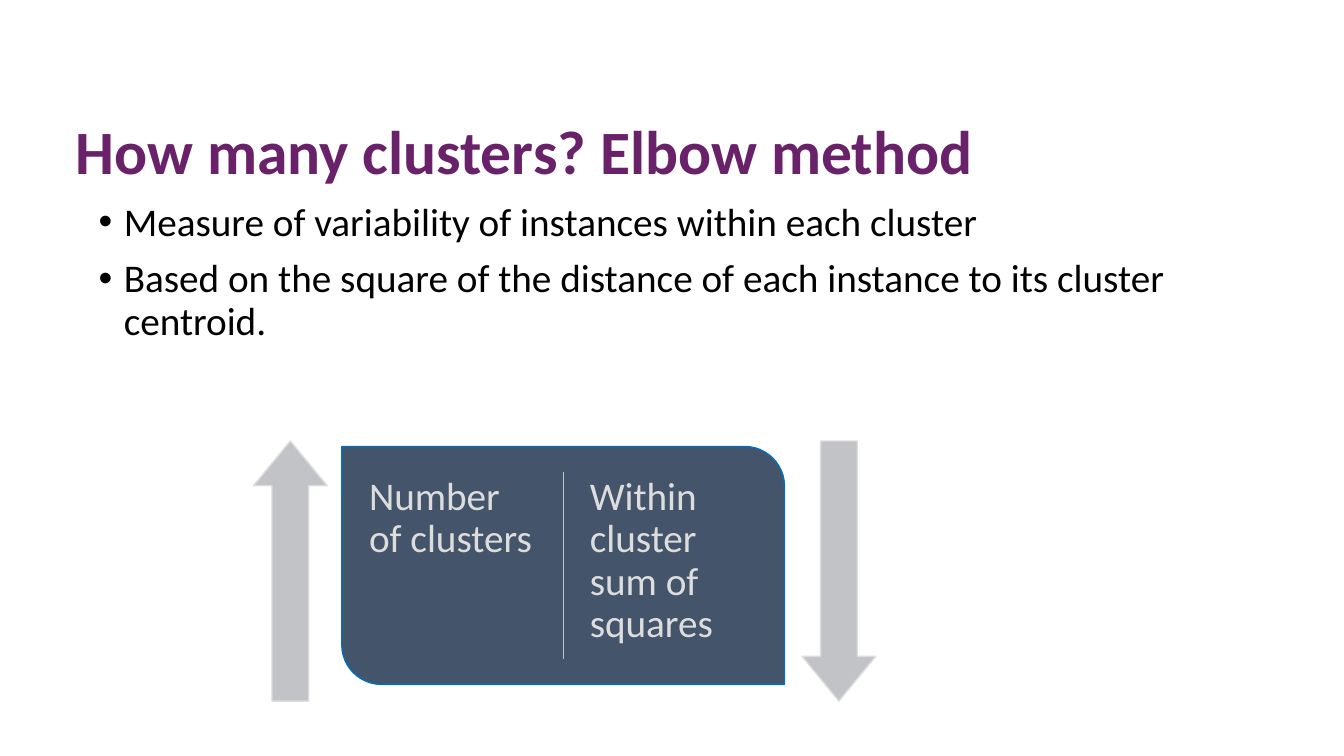
from lxml import etree
from pptx import Presentation, util as u
from pptx.dml.color import RGBColor
from pptx.enum import shapes, text
from pptx.oxml.ns import qn

PX = 9144  # 100 px to the inch
PLUM = RGBColor(0x69, 0x21, 0x6A)
BLACK = RGBColor(0, 0, 0)
SLATE = RGBColor(0x44, 0x54, 0x6A)
BLUE = RGBColor(0x00, 0x70, 0xC0)
GREY = RGBColor(0xC1, 0xC3, 0xC7)
PALE = RGBColor(0xDD, 0xDD, 0xDD)

deck = Presentation()
deck.slide_width, deck.slide_height = 1333 * PX, 750 * PX
slide = deck.slides.add_slide(deck.slide_layouts[6])


def add_form(kind, box, fill, line, adjs, turn=0):
    """Add a filled preset shape with a thin outline."""
    form = slide.shapes.add_shape(kind, *[n * PX for n in box])
    form.shadow.inherit = False
    form.fill.solid()
    form.fill.fore_color.rgb = fill
    form.line.color.rgb = line
    form.line.width = u.Pt(1)
    form.rotation = turn
    for i, adj in enumerate(adjs):
        form.adjustments[i] = adj


def add_text(box, lines, font, para={}, frame={}):
    """Add a wrapped text box and return its paragraphs."""
    body = slide.shapes.add_textbox(*[n * PX for n in box]).text_frame
    body.word_wrap = True
    for name, value in frame.items():
        setattr(body, name, value)
    body.text = "\n".join(lines)
    for par in body.paragraphs:
        for name, value in {"line_spacing": 0.9, **para}.items():
            setattr(par, name, value)
        run = par.runs[0]
        run.font.color.rgb = font["color"]
        run.font.name = "Calibri"
        run.font.size = u.Pt(font["size"])
        run.font.bold = font.get("bold", False)
    return body.paragraphs


# Panel with two columns
add_form(shapes.MSO_SHAPE.ROUND_2_DIAG_RECTANGLE, (339, 443, 439, 236),
         SLATE, BLUE, (0, 0.167))
rule = slide.shapes.add_connector(
    shapes.MSO_CONNECTOR.STRAIGHT, 559 * PX, 468 * PX, 559 * PX, 654 * PX)
rule.line.color.rgb = GREY
rule.line.width = u.Pt(1)
etree.SubElement(rule._element.spPr, qn("a:effectLst"))

inset = {f"margin_{side}": 12 * PX for side in ("left", "top", "right", "bottom")}
for left, label in ((354, "Number of clusters"),
                    (573, "Within cluster sum of squares")):
    add_text((left, 461, 190, 200), [label], {"size": 28, "color": PALE},
             frame=inset)

# Arrows: clusters go up, sum of squares goes down
for left, turn in ((159, 270), (703, 90)):
    add_form(shapes.MSO_SHAPE.RIGHT_ARROW, (left, 530, 258, 73),
             GREY, PALE, (0.498, 0.607), turn)

# Bullets and title
points = add_text(
    (88, 196, 1150, 450),
    ["Measure of variability of instances within each cluster",
     "Based on the square of the distance of each instance to its cluster centroid."],
    {"size": 28, "color": BLACK}, {"space_before": u.Pt(10)})
for par in points:
    props = par._p.get_or_add_pPr()
    props.set("marL", str(25 * PX))
    props.set("indent", str(-25 * PX))
    etree.SubElement(props, qn("a:buFont")).set("typeface", "Arial")
    etree.SubElement(props, qn("a:buChar")).set("char", "•")

add_text((65, 112, 1150, 83), ["How many clusters? Elbow method"],
         {"size": 44, "color": PLUM, "bold": True},
         frame={"vertical_anchor": text.MSO_ANCHOR.MIDDLE})

deck.save("out.pptx")
